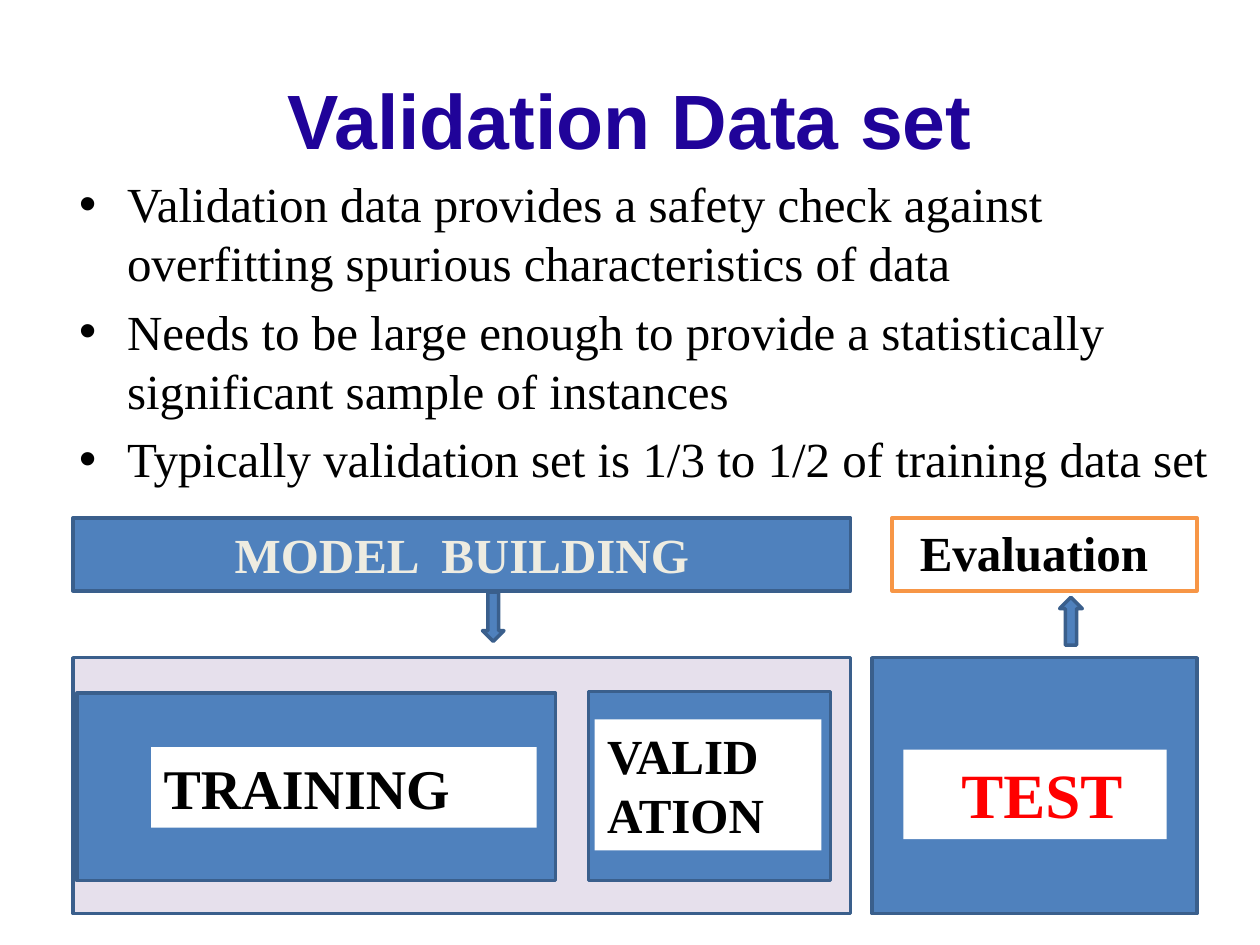
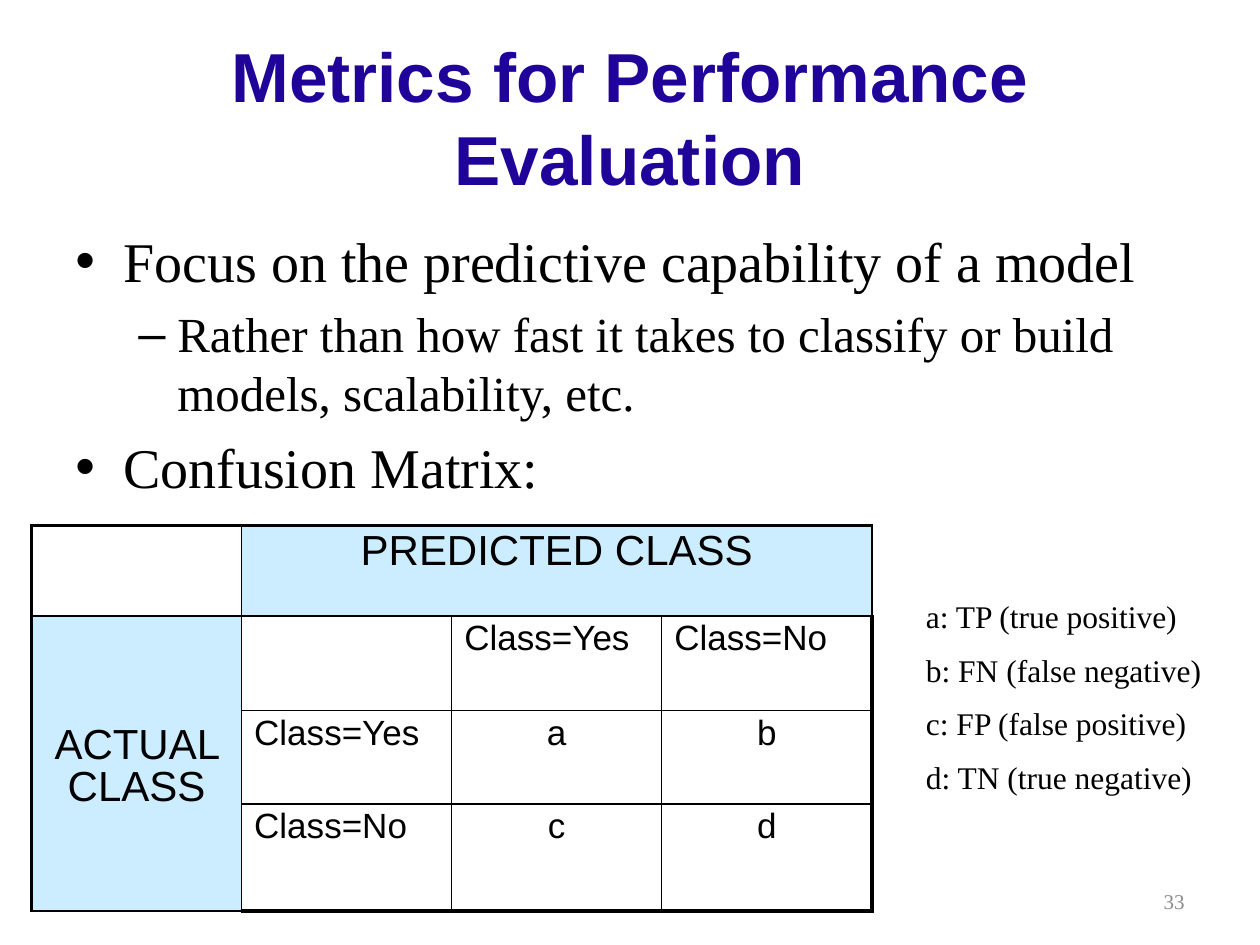
from dataclasses import dataclass

from lxml.etree import SubElement
from pptx import Presentation
from pptx.dml.color import RGBColor
from pptx.enum.shapes import MSO_SHAPE
from pptx.enum.text import MSO_ANCHOR, PP_ALIGN
from pptx.oxml.ns import qn
from pptx.util import Pt

PX = 9144  # 100 px to the inch


@dataclass(frozen=True)
class Theme:
    title_font: str = "Arial"
    body_font: str = "Times New Roman"
    title: str = "200399"
    black: str = "000000"
    white: str = "FFFFFF"
    cream: str = "EEECE1"
    red: str = "FF0000"
    grey: str = "8C8C8C"
    blue: str = "4F81BD"
    outline: str = "3A5F8C"
    lilac: str = "E6E0EC"
    orange: str = "F79646"
    header: str = "CCECFF"
    title_size: float = 44
    long_title_size: float = 39.6
    large: int = 32
    medium: int = 28
    test_size: int = 36
    table_head: int = 24
    table_body: int = 20
    legend: int = 18
    footer: int = 12
    line: float = 2
    outer_border: float = 2.25
    inner_border: float = 1


THEME = Theme()

# Each bullet is (level, text)
VALIDATION_BULLETS = [
    (0, "Validation data provides a safety check against overfitting spurious characteristics of data"),
    (0, "Needs to be large enough to provide a statistically significant sample of instances"),
    (0, "Typically validation set is 1/3 to 1/2 of training data set"),
]
METRICS_BULLETS = [
    (0, "Focus on the predictive capability of a model"),
    (1, "Rather than how fast it takes to classify or build models, scalability, etc."),
    (0, "Confusion Matrix:"),
]
BULLET_STYLES = [("•", 38, -38), ("–", 81, -31)]  # mark, left margin, indent

# Each panel is (preset, box, fill, line)
PANELS = [
    (MSO_SHAPE.RECTANGLE, (692, 522, 258, 203), THEME.blue, THEME.outline),
    (MSO_SHAPE.RECTANGLE, (58, 522, 617, 203), THEME.lilac, THEME.outline),
    (MSO_SHAPE.RECTANGLE, (61, 550, 380, 149), THEME.blue, THEME.outline),
    (MSO_SHAPE.RECTANGLE, (467, 549, 192, 150), THEME.blue, THEME.outline),
    (MSO_SHAPE.DOWN_ARROW, (383, 470, 17, 39), THEME.blue, THEME.outline),
    (MSO_SHAPE.UP_ARROW, (841, 474, 18, 38), THEME.blue, THEME.outline),
]
# Each label is (text, box, fill, line, text format)
LABELS = [
    ("TEST", (717, 595, 209, 71), THEME.white, None,
     dict(size=THEME.test_size, color=THEME.red, left_inset=46)),
    ("TRAINING", (120, 593, 306, 64), THEME.white, None, dict(size=THEME.large)),
    ("VALID ATION", (472, 571, 180, 104), THEME.white, None, dict(size=THEME.medium)),
    ("MODEL  BUILDING", (58, 411, 617, 58), THEME.blue, THEME.outline,
     dict(size=THEME.medium, color=THEME.cream, align=PP_ALIGN.CENTER,
          anchor=MSO_ANCHOR.MIDDLE)),
    ("Evaluation", (708, 411, 242, 58), THEME.white, THEME.orange,
     dict(size=THEME.medium, left_inset=22, top_inset=4)),
]

MATRIX = [
    ["", "PREDICTED CLASS", "", ""],
    ["ACTUAL CLASS", "", "Class=Yes", "Class=No"],
    ["", "Class=Yes", "a", "b"],
    ["", "Class=No", "c", "d"],
]
MATRIX_BOX = (25, 417, 667, 306)
MATRIX_ROWS = [72, 75, 74, 85]
LEGEND = ["a: TP (true positive)", "b: FN (false negative)",
          "c: FP (false positive)", "d: TN (true negative)"]


def emu(box):
    return [value * PX for value in box]


def color_of(value):
    return RGBColor.from_string(value)


def write_text(frame, texts, *, size, font=THEME.body_font, color=THEME.black,
               bold=False, align=PP_ALIGN.LEFT, anchor=MSO_ANCHOR.TOP,
               space_ratio=0.0, left_inset=10, top_inset=5):
    """Fill a text frame; space_ratio is the space before, as a share of the size."""
    frame.word_wrap = True
    frame.vertical_anchor = anchor
    frame.margin_left, frame.margin_top = left_inset * PX, top_inset * PX
    frame.margin_right, frame.margin_bottom = 10 * PX, 5 * PX
    for index, text in enumerate(texts):
        paragraph = frame.add_paragraph() if index else frame.paragraphs[0]
        paragraph.alignment = align
        paragraph.space_before = Pt(size * space_ratio)
        run = paragraph.add_run()
        run.text = text
        run.font.name, run.font.size, run.font.bold = font, Pt(size), bold
        run.font.color.rgb = color_of(color)


def add_text(slide, texts, box, **text_format):
    frame = slide.shapes.add_textbox(*emu(box)).text_frame
    write_text(frame, texts, **text_format)
    return frame


def add_title(slide, text, top, size):
    add_text(slide, [text], (50, top, 900, 125), size=size, font=THEME.title_font,
             color=THEME.title, bold=True, align=PP_ALIGN.CENTER,
             anchor=MSO_ANCHOR.MIDDLE)


def add_bullets(slide, bullets, box, sizes):
    """Add a bulleted list; sizes holds one type size for each level."""
    frame = add_text(slide, [text for _, text in bullets], box, size=sizes[0],
                     space_ratio=0.2)
    for paragraph, (level, _) in zip(frame.paragraphs, bullets):
        mark, margin, indent = BULLET_STYLES[level]
        paragraph.level = level
        paragraph.space_before = Pt(sizes[level] * 0.2)
        paragraph.runs[0].font.size = Pt(sizes[level])
        properties = paragraph._p.get_or_add_pPr()
        properties.set("marL", str(margin * PX))
        properties.set("indent", str(indent * PX))
        SubElement(properties, qn("a:buFont"), typeface=THEME.title_font)
        SubElement(properties, qn("a:buChar"), char=mark)


def add_panel(slide, preset, box, fill, line):
    shape = slide.shapes.add_shape(preset, *emu(box))
    shape.shadow.inherit = False
    shape.fill.solid()
    shape.fill.fore_color.rgb = color_of(fill)
    if line:
        shape.line.color.rgb = color_of(line)
        shape.line.width = Pt(THEME.line)
    else:
        shape.line.fill.background()
    return shape


def set_borders(cell, row, column, last):
    """Draw thick lines on the outside of the table and thin ones inside."""
    edges = {"a:lnL": column == 0, "a:lnR": column == last,
             "a:lnT": row == 0, "a:lnB": row == last}
    properties = cell._tc.get_or_add_tcPr()
    for tag, outside in edges.items():
        width = THEME.outer_border if outside else THEME.inner_border
        line = SubElement(properties, qn(tag), w=str(int(Pt(width))))
        fill = SubElement(line, qn("a:solidFill"))
        SubElement(fill, qn("a:srgbClr"), val=THEME.black)


def add_matrix(slide):
    count = len(MATRIX)
    table = slide.shapes.add_table(count, count, *emu(MATRIX_BOX)).table
    table.first_row = table.horz_banding = False
    for row, height in zip(table.rows, MATRIX_ROWS):
        row.height = height * PX
    for row, texts in enumerate(MATRIX):
        for column, text in enumerate(texts):
            cell = table.cell(row, column)
            is_head = (row == 0) != (column == 0)
            set_borders(cell, row, column, count - 1)
            cell.fill.solid()
            cell.fill.fore_color.rgb = color_of(THEME.header if is_head else THEME.white)
            if not text:
                continue
            centered = is_head or len(text) == 1
            write_text(cell.text_frame, [text], font=THEME.title_font,
                       size=THEME.table_head if is_head else THEME.table_body,
                       align=PP_ALIGN.CENTER if centered else PP_ALIGN.LEFT)
            cell.text_frame.paragraphs[0].line_spacing = 0.9
            cell.margin_left = cell.margin_right = 10 * PX
            cell.margin_top = (87 if is_head and row else 5) * PX
    table.cell(0, 1).merge(table.cell(0, count - 1))
    table.cell(1, 0).merge(table.cell(count - 1, 0))


def build_validation(slide):
    add_title(slide, "Validation Data set", 32, THEME.title_size)
    add_bullets(slide, VALIDATION_BULLETS, (53, 133, 922, 267), [THEME.medium])
    for panel in PANELS:
        add_panel(slide, *panel)
    for text, box, fill, line, text_format in LABELS:
        shape = add_panel(slide, MSO_SHAPE.RECTANGLE, box, fill, line)
        write_text(shape.text_frame, [text], bold=True, **text_format)


def build_metrics(slide):
    add_title(slide, "Metrics for Performance Evaluation", 30, THEME.long_title_size)
    add_bullets(slide, METRICS_BULLETS, (50, 175, 900, 495), [THEME.large, THEME.medium])
    add_matrix(slide)
    add_text(slide, LEGEND, (725, 469, 242, 177), size=THEME.legend, space_ratio=0.5)
    add_text(slide, ["33"], (717, 695, 233, 40), size=THEME.footer, color=THEME.grey,
             align=PP_ALIGN.RIGHT, anchor=MSO_ANCHOR.MIDDLE)


def main():
    presentation = Presentation()
    presentation.slide_width, presentation.slide_height = emu((1000, 750))
    for build in (build_validation, build_metrics):
        build(presentation.slides.add_slide(presentation.slide_layouts[6]))
    presentation.save("out.pptx")


if __name__ == "__main__":
    main()
